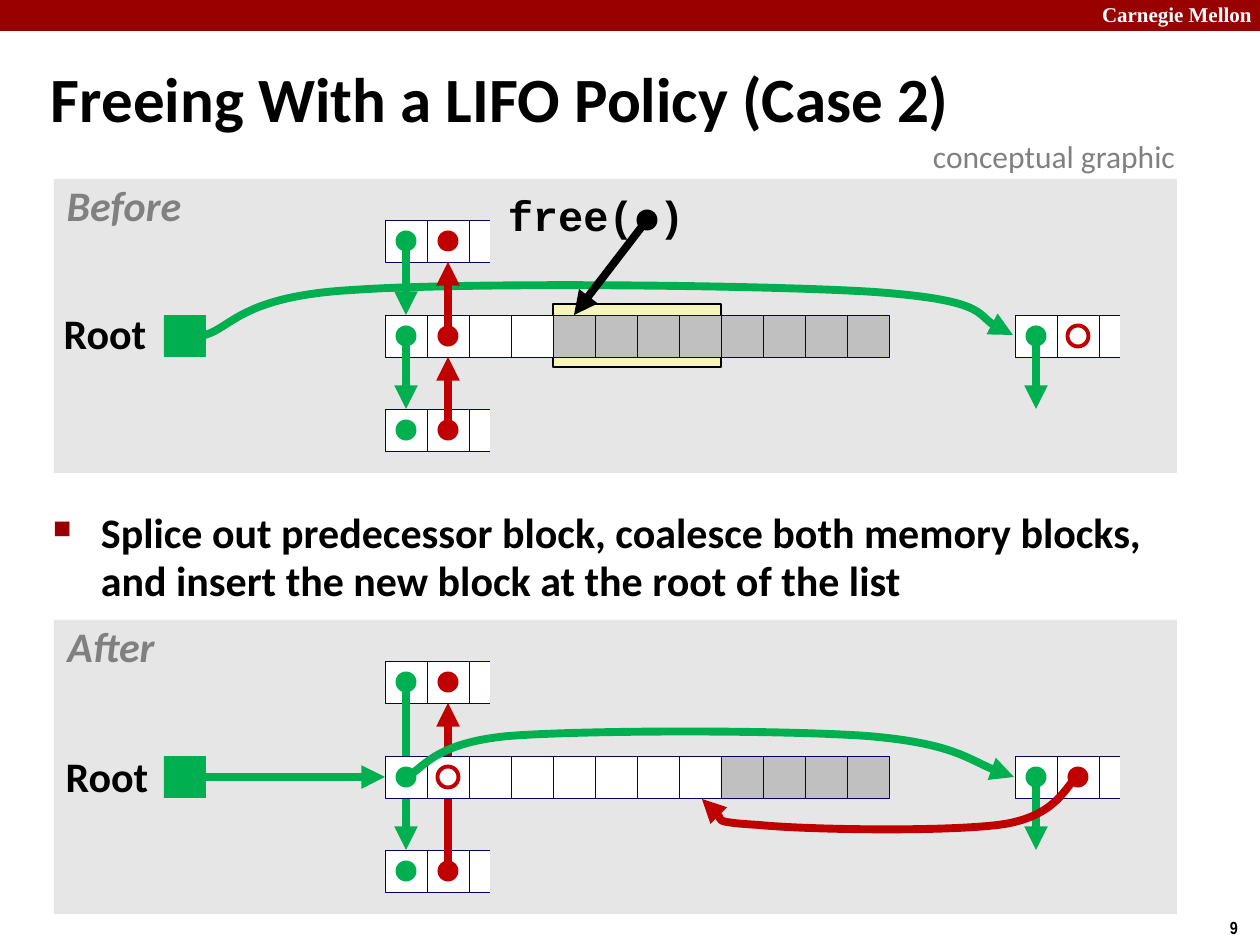
from lxml import etree
from pptx import Presentation, util as u
from pptx.dml.color import RGBColor
from pptx.enum import shapes, text
from pptx.oxml import ns

PX = u.Inches(10) / 1260
CELL, HALF, DOT = 42, 21, 21
LIST_X, TAIL_X, ROOT_X = 385, 1015, 164
TOP, LEFT, BOTTOM = 0, 1, 2

BLACK = RGBColor(0x00, 0x00, 0x00)
WHITE = RGBColor(0xFF, 0xFF, 0xFF)
MAROON = RGBColor(0x99, 0x00, 0x00)
PANEL = RGBColor(0xE6, 0xE6, 0xE6)
LABEL = RGBColor(0x80, 0x80, 0x80)
USED = RGBColor(0xC0, 0xC0, 0xC0)
YELLOW = RGBColor(0xF6, 0xF5, 0xBD)
NAVY = RGBColor(0x00, 0x00, 0x66)
GREEN = RGBColor(0x00, 0xB0, 0x50)
RED = RGBColor(0xC0, 0x00, 0x00)


def px(length):
    return u.Emu(round(length * PX))


class HeapSlide:
    def __init__(self, deck):
        self.slide = deck.slides.add_slide(deck.slide_layouts[6])
        self.shapes = self.slide.shapes

    def shape(self, kind, box, fill=None, line=None, width=0.25):
        item = self.shapes.add_shape(kind, *map(px, box))
        item.shadow.inherit = False
        if fill is None:
            item.fill.background()
        else:
            item.fill.solid()
            item.fill.fore_color.rgb = fill
        if line is None:
            item.line.fill.background()
        else:
            item.line.color.rgb = line
            item.line.width = u.Pt(width)
        return item

    def rect(self, box, fill, line=None, width=0.25):
        return self.shape(shapes.MSO_SHAPE.RECTANGLE, box, fill, line, width)

    def cells(self, x, y, fills):
        return [self.rect((x + i * CELL, y, CELL, CELL), fill, NAVY)
                for i, fill in enumerate(fills)]

    def stub(self, x, y):
        row = self.cells(x, y, [WHITE] * 3)
        self.rect((x + 105, y - 10, CELL, 63), PANEL)
        return row

    def dot(self, x, y, color, hollow=False):
        box = (x - DOT / 2, y - DOT / 2, DOT, DOT)
        fill, line = (None, color) if hollow else (color, None)
        self.shape(shapes.MSO_SHAPE.OVAL, box, fill, line, 2.25)

    def arrow_style(self, item, color):
        item.line.color.rgb = color
        item.line.width = u.Pt(4.5)
        outline = item._element.spPr.find(ns.qn("a:ln"))
        etree.SubElement(outline, ns.qn("a:tailEnd"), type="triangle")

    def arrow(self, start, end, color, target=None, side=None):
        link = self.shapes.add_connector(
            shapes.MSO_CONNECTOR.STRAIGHT, *map(px, (*start, *end)))
        self.arrow_style(link, color)
        etree.SubElement(link._element.spPr, ns.qn("a:effectLst"))
        if target is not None:
            link.end_connect(target, side)

    def curve(self, points, color):
        builder = self.shapes.build_freeform(*points[0], scale=PX)
        builder.add_line_segments(points[1:], close=False)
        item = builder.convert_to_shape()
        item.shadow.inherit = False
        item.fill.background()
        self.arrow_style(item, color)
        steps = list(item._element.iter(ns.qn("a:lnTo")))
        for first in range(0, len(steps), 3):
            bezier = etree.Element(ns.qn("a:cubicBezTo"))
            steps[first].addprevious(bezier)
            for step in steps[first:first + 3]:
                bezier.append(step[0])
                step.getparent().remove(step)

    def words(self, wording, box, size, color=BLACK, font="Calibri", bold=True,
              italic=False, wrap=False, inset=13, spacing=None, align=None,
              anchor=text.MSO_ANCHOR.TOP, bullet=None):
        frame = self.shapes.add_textbox(*map(px, box)).text_frame
        frame.word_wrap = wrap
        frame.vertical_anchor = anchor
        frame.margin_left = frame.margin_right = px(inset)
        frame.margin_top = frame.margin_bottom = px(6)
        line = frame.paragraphs[0]
        if bullet is not None:
            props = line._p.get_or_add_pPr()
            props.set("marL", str(px(48)))
            props.set("indent", str(px(-48)))
            tint = etree.SubElement(props, ns.qn("a:buClr"))
            etree.SubElement(tint, ns.qn("a:srgbClr"), val=str(bullet))
            etree.SubElement(props, ns.qn("a:buSzPct"), val="60000")
            etree.SubElement(props, ns.qn("a:buChar"), char="■")
        line.alignment = align
        line.line_spacing = spacing
        run = line.add_run()
        run.text = wording
        run.font.name, run.font.size = font, u.Pt(size)
        run.font.bold, run.font.italic = bold, italic
        run.font.color.rgb = color

    def label(self, wording, box, color=BLACK, font="Calibri", italic=False):
        self.words(wording, box, 24, color, font, italic=italic, inset=6,
                   spacing=0.9, align=text.PP_ALIGN.CENTER)


def draw_before(page):
    upper, middle, lower = 220, 315, 409
    next_x, prev_x = LIST_X + HALF, LIST_X + CELL + HALF
    page.rect((54, 179, 1123, 294), PANEL)
    page.rect((553, 304, 168, 63), YELLOW, BLACK, 0.75)
    page.curve([(205, 335), (231, 328), (242, 296), (353, 290),
                (465, 282), (764, 285), (874, 292),
                (984, 300), (984, 326), (1013, 335)], GREEN)
    block = page.cells(LIST_X, middle, [WHITE] * 4 + [USED] * 8)
    above = page.stub(LIST_X, upper)
    below = page.stub(LIST_X, lower)
    page.stub(TAIL_X, middle)
    page.rect((ROOT_X, middle, CELL, CELL), GREEN)
    for y in (upper, middle, lower):
        page.dot(next_x, y + HALF, GREEN)
        page.dot(prev_x, y + HALF, RED)
    for source, goal, row in ((upper, middle, block), (middle, lower, below)):
        page.arrow((next_x, source + HALF), (next_x, goal), GREEN, row[0], TOP)
    for source, goal, row in ((lower, middle, block), (middle, upper, above)):
        page.arrow((prev_x, source + HALF), (prev_x, goal + CELL), RED, row[1], BOTTOM)
    page.dot(TAIL_X + HALF, middle + HALF, GREEN)
    page.dot(TAIL_X + CELL + HALF, middle + HALF, RED, hollow=True)
    page.arrow((TAIL_X + HALF, middle + HALF), (TAIL_X + HALF, lower), GREEN)
    page.label("free( )", (501, 189, 190, 59), font="Courier New")
    page.dot(647, 220, BLACK)
    page.arrow((647, 220), (574, middle), BLACK, block[4], TOP)
    page.label("Root", (57, 307, 96, 59))
    page.label("Before", (59, 179, 130, 59), LABEL, italic=True)


def draw_after(page):
    upper, middle, lower = 661, 756, 850
    next_x, prev_x = LIST_X + HALF, LIST_X + CELL + HALF
    page.rect((54, 620, 1123, 294), PANEL)
    below = page.stub(LIST_X, lower)
    above = page.stub(LIST_X, upper)
    page.arrow((prev_x, lower + HALF), (prev_x, upper + CELL), RED, above[1], BOTTOM)
    page.arrow((next_x, upper + HALF), (next_x, lower), GREEN, below[0], TOP)
    block = page.cells(LIST_X, middle, [WHITE] * 8 + [USED] * 4)
    page.stub(TAIL_X, middle)
    page.rect((ROOT_X, middle, CELL, CELL), GREEN)
    for y in (upper, middle, lower):
        page.dot(next_x, y + HALF, GREEN)
        page.dot(prev_x, y + HALF, RED, hollow=y == middle)
    page.dot(TAIL_X + HALF, middle + HALF, GREEN)
    page.arrow((TAIL_X + HALF, middle + HALF), (TAIL_X + HALF, lower), GREEN)
    page.dot(TAIL_X + CELL + HALF, middle + HALF, RED)
    page.arrow((195, middle + HALF), (LIST_X, middle + HALF), GREEN, block[0], LEFT)
    page.curve([(406, 777), (423, 770), (432, 743), (509, 736),
                (586, 730), (782, 730), (867, 736),
                (951, 743), (984, 769), (1014, 777)], GREEN)
    page.curve([(1077, 777), (1066, 785), (1058, 815), (1005, 824),
                (953, 832), (809, 830), (759, 825),
                (708, 822), (713, 805), (702, 799)], RED)
    page.label("Root", (59, 750, 96, 59))
    page.label("After", (60, 620, 102, 59), LABEL, italic=True)


def main():
    deck = Presentation()
    deck.slide_width, deck.slide_height = px(1260), px(945)
    page = HeapSlide(deck)
    page.rect((0, 0, 1260, 31), MAROON)
    page.words("Carnegie Mellon", (1089, -4, 180, 38), 12, WHITE,
               "Times New Roman", wrap=True)
    page.words("9", (1217, 911, 43, 34), 10, font="Arial Narrow")
    page.words("Freeing With a LIFO Policy (Case 2)", (38, 49, 1201, 108), 36,
               wrap=True, spacing=0.87, anchor=text.MSO_ANCHOR.MIDDLE)
    page.words("conceptual graphic", (920, 131, 273, 50), 18, LABEL, bold=False)
    page.words("Splice out predecessor block, coalesce both memory blocks, "
               "and insert the new block at the root of the list",
               (40, 504, 1145, 108), 24, wrap=True, spacing=0.95, bullet=MAROON)
    draw_before(page)
    draw_after(page)
    deck.save("out.pptx")


if __name__ == "__main__":
    main()
